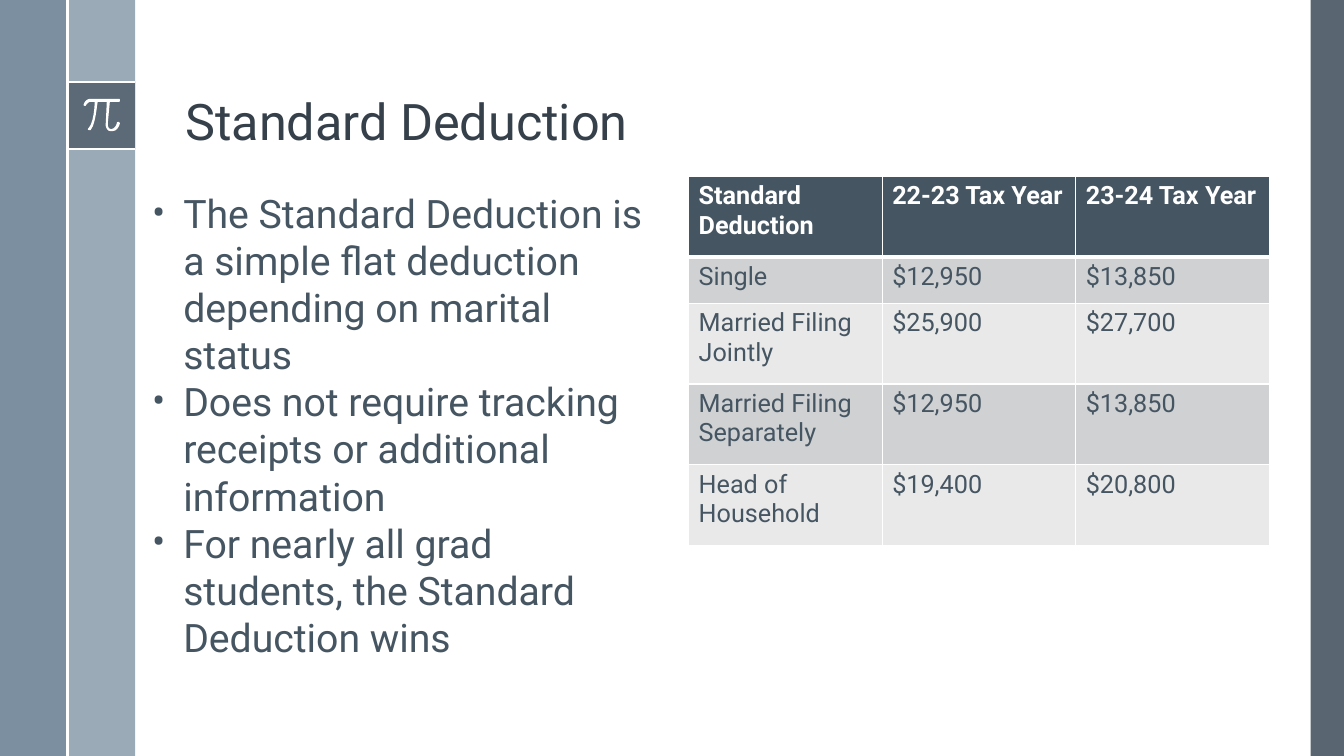
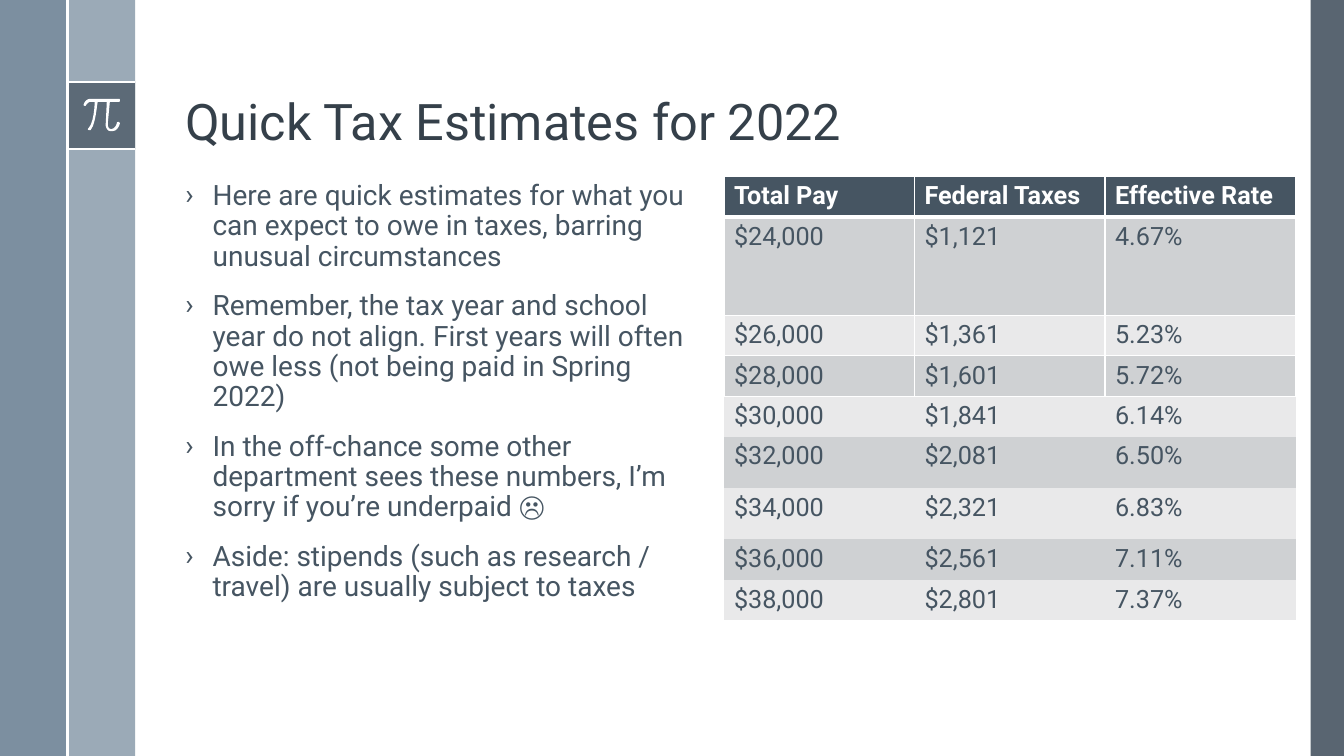
from lxml import etree
from pptx import Presentation
from pptx.dml.color import RGBColor
from pptx.enum.shapes import MSO_CONNECTOR, MSO_SHAPE
from pptx.enum.text import MSO_ANCHOR
from pptx.oxml.ns import qn
from pptx.util import Inches, Pt

RECT = MSO_SHAPE.RECTANGLE
STRAIGHT = MSO_CONNECTOR.STRAIGHT
TOP, BOTTOM = MSO_ANCHOR.TOP, MSO_ANCHOR.BOTTOM
FONT = "Roboto"
COLORS = {
    "white": "FFFFFF",
    "title": "35404A",
    "text": "465562",
    "edge": "475562",
    "steel": "6A8093",
    "mist": "9BAAB7",
    "odd_row": "CFD1D3",
    "even_row": "E9E9EA",
}
SLIDE_W, SLIDE_H = 13.33, 7.5
BAND = 0.67
BADGE_TOP = 0.81

# Hundredths of an inch: pairs are line ends, sextuples are cubic curves.
PI_START = (35, 0)
PI_OUTLINE = [
    (7, 0), (2, 0, 0, 5, 0, 6), (0, 6, 0, 7, 1, 7), (2, 7),
    (2, 7, 4, 3, 7, 3), (11, 3), (11, 7, 10, 24, 5, 29),
    (4, 30, 4, 31, 5, 31), (7, 31), (12, 25, 13, 7, 14, 3), (23, 3),
    (22, 24), (22, 24, 21, 28, 24, 31), (25, 32, 26, 32, 27, 32), (29, 32),
    (34, 32, 36, 25, 36, 24), (35, 23), (34, 23, 33, 23, 33, 24),
    (33, 24, 32, 29, 28, 30), (27, 30, 26, 30, 25, 29),
    (24, 28, 24, 25, 24, 24), (26, 3), (35, 3), (36, 3, 36, 2, 36, 2),
    (36, 1, 36, 0, 35, 0),
]


def rgb(name):
    return RGBColor.from_string(COLORS[name])


def paint(shape, color, alpha=None):
    shape.shadow.inherit = False
    shape.line.fill.background()
    shape.fill.solid()
    shape.fill.fore_color.rgb = rgb(color)
    if alpha is not None:
        clr = shape.fill._xPr.find(qn("a:solidFill"))[0]
        etree.SubElement(clr, qn("a:alpha"), val=str(alpha * 1000))


def add_band(s, x, y, w, h, color, alpha=None):
    sp = s.shapes.add_shape(RECT, Inches(x), Inches(y), Inches(w), Inches(h))
    paint(sp, color, alpha)


def add_rule(s, x1, y1, x2, y2):
    line = s.shapes.add_connector(
        STRAIGHT, Inches(x1), Inches(y1), Inches(x2), Inches(y2))
    line.line.color.rgb = rgb("white")
    line.line.width = Pt(1.5)
    etree.SubElement(line._element.spPr, qn("a:effectLst"))


def flatten(start, outline, steps=6):
    """Turn lines and cubic curves into a plain list of points."""
    points = [start]
    for part in outline:
        if len(part) == 2:
            points.append(part)
            continue
        ends = [points[-1], part[:2], part[2:4], part[4:]]
        for i in range(1, steps + 1):
            t = i / steps
            weights = ((1 - t) ** 3, 3 * t * (1 - t) ** 2,
                       3 * t * t * (1 - t), t ** 3)
            points.append(tuple(
                sum(w * end[axis] for w, end in zip(weights, ends))
                for axis in (0, 1)))
    return points


def add_pi(s, x, y):
    points = [(Inches(x + px / 100), Inches(y + py / 100))
              for px, py in flatten(PI_START, PI_OUTLINE)]
    builder = s.shapes.build_freeform(*points[0])
    builder.add_line_segments(points[1:], close=True)
    paint(builder.convert_to_shape(), "white")


def add_frame(s):
    """Side bands and the pi badge that every slide carries."""
    add_band(s, 13, 0, SLIDE_W - 13, SLIDE_H, "edge", alpha=90)
    add_band(s, BAND, 0, BAND, SLIDE_H, "mist")
    add_band(s, 0, 0, BAND, SLIDE_H, "steel", alpha=88)
    add_band(s, BAND, BADGE_TOP, BAND, BAND, "edge", alpha=75)
    for y in (BADGE_TOP, BADGE_TOP + BAND):
        add_rule(s, BAND, y, 2 * BAND, y)
    add_pi(s, BAND + 0.16, BADGE_TOP + 0.17)
    add_rule(s, BAND, 0, BAND, SLIDE_H)


def write(tf, lines, size, color="text", bold=False, spacing=None,
          before=None, bullet=None, indent=0.0, anchor=TOP):
    tf.word_wrap = True
    tf.vertical_anchor = anchor
    for i, line in enumerate(lines):
        p = tf.add_paragraph() if i else tf.paragraphs[0]
        if spacing:
            p.line_spacing = spacing
        if before is not None:
            p.space_before = Pt(before)
        if bullet:
            pPr = p._p.get_or_add_pPr()
            pPr.set("marL", str(Inches(indent)))
            pPr.set("indent", str(-Inches(indent)))
            etree.SubElement(pPr, qn("a:buFont"), typeface=FONT)
            etree.SubElement(pPr, qn("a:buChar"), char=bullet)
        r = p.add_run()
        r.text = line
        r.font.name = FONT
        r.font.size = Pt(size)
        r.font.bold = bold
        r.font.color.rgb = rgb(color)


def add_text(s, box, lines, **fmt):
    tb = s.shapes.add_textbox(*map(Inches, box))
    write(tb.text_frame, lines, **fmt)


def set_border(cell, side, width):
    """Draw one white side of a cell; a width of 0 removes it."""
    ln = etree.SubElement(cell._tc.get_or_add_tcPr(), qn("a:ln" + side),
                          w=str(Pt(width)))
    if width:
        fill = etree.SubElement(ln, qn("a:solidFill"))
        etree.SubElement(fill, qn("a:srgbClr"), val=COLORS["white"])
    else:
        etree.SubElement(ln, qn("a:noFill"))


def add_data_table(s, x, y, col_w, heights, rows, ruled):
    """Banded table whose first `ruled` rows have white borders."""
    cols = len(rows[0])
    table = s.shapes.add_table(
        len(rows), cols, Inches(x), Inches(y),
        Inches(col_w * cols), Inches(sum(heights))).table
    for col in table.columns:
        col.width = Inches(col_w)
    for i, (height, values) in enumerate(zip(heights, rows)):
        table.rows[i].height = Inches(height)
        header = i == 0
        fill = "text" if header else "odd_row" if i % 2 else "even_row"
        side_w = 1 if i < ruled else 0
        borders = {
            "L": side_w,
            "R": side_w,
            "T": 3 if i == 1 else 1 if i <= ruled else 0,
            "B": 3 if header else side_w,
        }
        for j, value in enumerate(values):
            cell = table.cell(i, j)
            write(cell.text_frame, [value], size=18, bold=header,
                  color="white" if header else "text")
            for side, width in borders.items():
                set_border(cell, side, width)
            cell.fill.solid()
            cell.fill.fore_color.rgb = rgb(fill)


def add_slide(prs, title, body, table):
    s = prs.slides.add_slide(prs.slide_layouts[6])
    add_frame(s)
    add_text(s, (1.74, 0.19, 10.7, 1.36), [title], size=36, color="title",
             spacing=0.9, anchor=BOTTOM)
    add_text(s, **body)
    add_data_table(s, **table)


def main():
    prs = Presentation()
    prs.slide_width, prs.slide_height = Inches(SLIDE_W), Inches(SLIDE_H)

    add_slide(
        prs, "Standard Deduction",
        body=dict(
            box=(1.41, 1.83, 5.17, 4.21), size=28, bullet="•", indent=0.31,
            lines=[
                "The Standard Deduction is a simple flat deduction depending "
                "on marital status",
                "Does not require tracking receipts or additional information",
                "For nearly all grad students, the Standard Deduction wins",
            ]),
        table=dict(
            x=6.83, y=1.75, col_w=1.92, ruled=5,
            heights=[0.8, 0.46, 0.8, 0.8, 0.8],
            rows=[
                ("Standard Deduction", "22-23 Tax Year", "23-24 Tax Year"),
                ("Single", "$12,950", "$13,850"),
                ("Married Filing Jointly", "$25,900", "$27,700"),
                ("Married Filing Separately", "$12,950", "$13,850"),
                ("Head of Household", "$19,400", "$20,800"),
            ]))

    add_slide(
        prs, "Quick Tax Estimates for 2022",
        body=dict(
            box=(1.74, 1.75, 5.27, 5.5), size=20, bullet="›", indent=0.27,
            spacing=0.9, before=14,
            lines=[
                "Here are quick estimates for what you can expect to owe in "
                "taxes, barring unusual circumstances",
                "Remember, the tax year and school year do not align. First "
                "years will often owe less (not being paid in Spring 2022)",
                "In the off-chance some other department sees these numbers, "
                "I’m sorry if you’re underpaid ☹",
                "Aside: stipends (such as research / travel) are usually "
                "subject to taxes",
            ]),
        table=dict(
            x=7.18, y=1.75, col_w=1.89, ruled=4,
            heights=[0.39, 0.98, 0.39, 0.39, 0.39, 0.51, 0.51, 0.39, 0.39],
            rows=[
                ("Total Pay", "Federal Taxes", "Effective Rate"),
                ("$24,000", "$1,121", "4.67%"),
                ("$26,000", "$1,361", "5.23%"),
                ("$28,000", "$1,601", "5.72%"),
                ("$30,000", "$1,841", "6.14%"),
                ("$32,000", "$2,081", "6.50%"),
                ("$34,000", "$2,321", "6.83%"),
                ("$36,000", "$2,561", "7.11%"),
                ("$38,000", "$2,801", "7.37%"),
            ]))

    prs.save("out.pptx")


if __name__ == "__main__":
    main()
